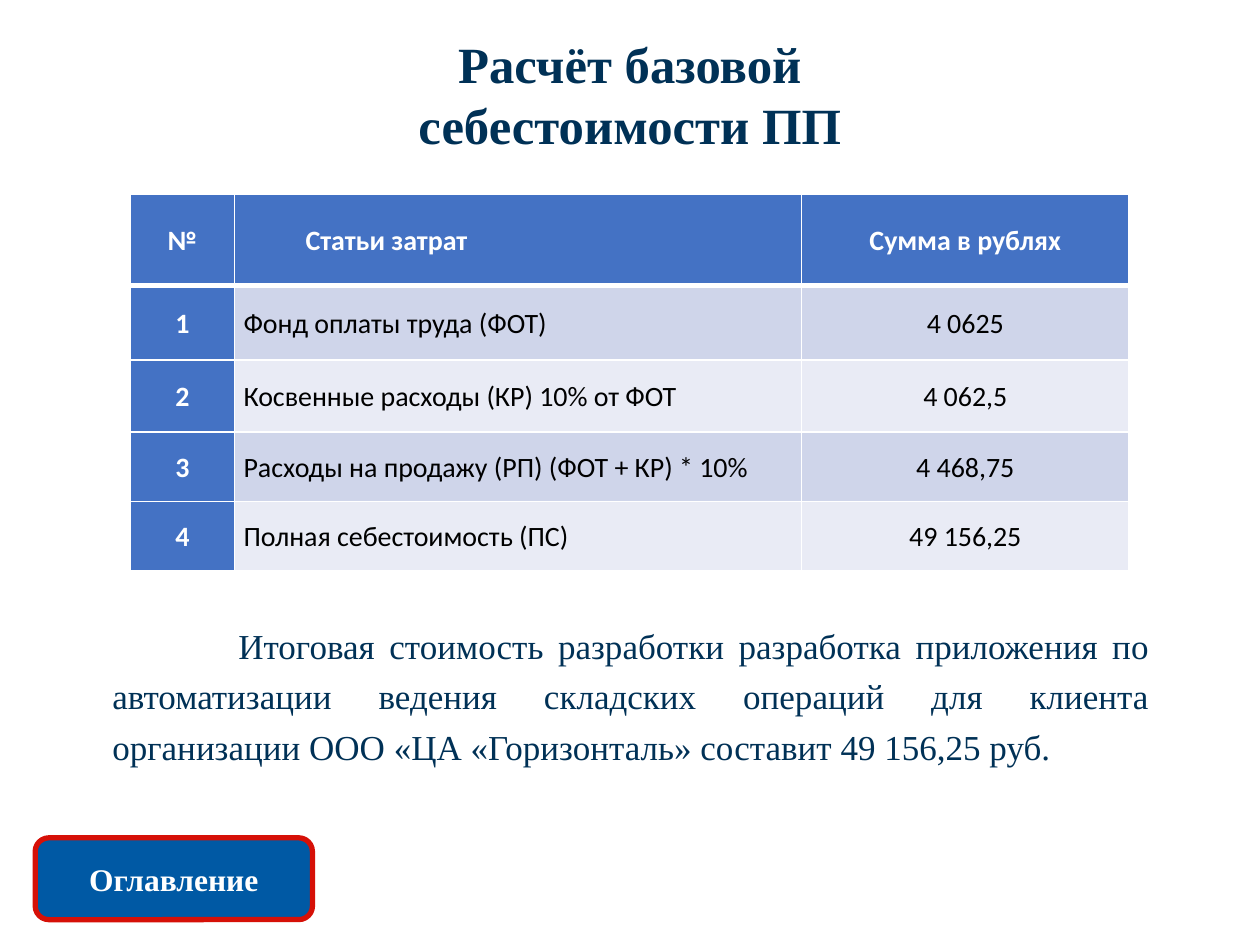
from lxml import etree
from pptx import Presentation
from pptx.dml.color import RGBColor
from pptx.enum import shapes, text
from pptx.oxml import ns
from pptx.util import Cm, Pt

COLORS = {
    "navy": "003156", "white": "FFFFFF", "black": "000000",
    "header": "4472C4", "odd": "CFD5EA", "even": "E9EBF5",
    "button": "0059A4", "outline": "D61007",
}
SERIF, SANS = "Times New Roman", "Calibri"
ALIGN, MIDDLE = text.PP_ALIGN, text.MSO_ANCHOR.MIDDLE


def color(name):
    return RGBColor.from_string(COLORS[name])


def apply(target, values):
    for name, value in values.items():
        setattr(target, name, value)


class SlideBuilder:
    """Holds the shared style and the current slide."""

    cell_paragraph = {"line_spacing": 1.07, "space_after": Pt(8)}
    cell_format = {
        "vertical_anchor": MIDDLE, "margin_left": Cm(0.18),
        "margin_right": Cm(0.18), "margin_top": 0, "margin_bottom": 0,
    }

    def __init__(self, slide):
        self.slide = slide

    def add_text(self, frame, wording, size, font, ink, bold=False, **layout):
        paragraph = frame.paragraphs[0]
        apply(paragraph, layout)
        run = paragraph.add_run()
        run.text = wording
        apply(run.font, {"size": Pt(size), "name": font, "bold": bold})
        run.font.color.rgb = color(ink)
        return paragraph

    def placeholder(self, shape, box, wording, size, **style):
        apply(shape, dict(zip(("left", "top", "width", "height"), map(Cm, box))))
        frame = shape.text_frame
        apply(frame, {"word_wrap": True, "vertical_anchor": text.MSO_ANCHOR.TOP,
                      "auto_size": text.MSO_AUTO_SIZE.SHAPE_TO_FIT_TEXT})
        return self.add_text(frame, wording, size, SERIF, "navy", **style)

    def title(self, box, wording):
        self.placeholder(self.slide.shapes.title, box, wording, 29,
                         bold=True, alignment=ALIGN.CENTER)

    def body(self, box, wording, indent):
        paragraph = self.placeholder(
            self.slide.placeholders[1], box, wording, 20,
            alignment=ALIGN.JUSTIFY, line_spacing=1.2, space_before=Pt(0))
        self.indent(paragraph, indent)
        etree.SubElement(paragraph._p.get_or_add_pPr(), ns.qn("a:buNone"))

    def indent(self, paragraph, first_line):
        properties = paragraph._p.get_or_add_pPr()
        properties.set("marL", "0")
        properties.set("indent", str(Cm(first_line)))

    def borders(self, cell, **widths):
        properties = cell._tc.get_or_add_tcPr()
        for side in "LRTB":
            line = etree.SubElement(properties, ns.qn("a:ln" + side),
                                    w=str(Pt(widths.get(side, 1))))
            fill = etree.SubElement(line, ns.qn("a:solidFill"))
            etree.SubElement(fill, ns.qn("a:srgbClr"), val=COLORS["white"])

    def table(self, left, top, widths, heights, rows):
        frame = self.slide.shapes.add_table(
            len(rows), len(widths), Cm(left), Cm(top),
            Cm(sum(widths)), Cm(sum(heights)))
        table = frame.table
        table.first_col = True
        for column, width in zip(table.columns, widths):
            column.width = Cm(width)
        for row, height in zip(table.rows, heights):
            row.height = Cm(height)
        for r, row in enumerate(rows):
            for c, wording in enumerate(row):
                self.cell(table.cell(r, c), r, c, wording)

    def cell(self, cell, r, c, wording):
        heading = r == 0 or c == 0
        apply(cell, self.cell_format)
        # A thick rule separates the header from the data
        self.borders(cell, **{0: {"B": 3}, 1: {"T": 3}}.get(r, {}))
        cell.fill.solid()
        cell.fill.fore_color.rgb = color(
            "header" if heading else "odd" if r % 2 else "even")
        paragraph = self.add_text(
            cell.text_frame, wording, 16, SANS,
            "white" if heading else "black", bold=heading,
            alignment=ALIGN.JUSTIFY if c == 1 else ALIGN.CENTER,
            **self.cell_paragraph)
        if (r, c) == (0, 1):
            self.indent(paragraph, 1.25)

    def button(self, box, wording):
        shape = self.slide.shapes.add_shape(
            shapes.MSO_SHAPE.ROUNDED_RECTANGLE, *map(Cm, box))
        shape.shadow.inherit = False
        shape.fill.solid()
        shape.fill.fore_color.rgb = color("button")
        shape.line.color.rgb = color("outline")
        shape.line.width = Pt(3)
        shape.text_frame.vertical_anchor = MIDDLE
        self.add_text(shape.text_frame, wording, 18, SERIF, "white",
                      bold=True, alignment=ALIGN.CENTER)


def main():
    presentation = Presentation()
    apply(presentation, {"slide_width": Cm(25.4), "slide_height": Cm(19.05)})
    builder = SlideBuilder(
        presentation.slides.add_slide(presentation.slide_layouts[1]))

    # Title and conclusion
    builder.title((5.64, 0.53, 14.12, 2.74), "Расчёт базовой себестоимости ПП")
    builder.body(
        (2.01, 12.29, 21.41, 3.25),
        "Итоговая стоимость разработки разработка приложения по автоматизации "
        "ведения складских операций для клиента организации "
        "ООО «ЦА «Горизонталь» составит 49 156,25 руб.", indent=2.54)

    # Cost table
    builder.table(2.62, 3.91, (2.11, 11.43, 6.6), (1.85, 1.5, 1.45, 1.4, 1.4), [
        ("№", "Статьи затрат", "Сумма в рублях"),
        ("1", "Фонд оплаты труда (ФОТ)", "4 0625"),
        ("2", "Косвенные расходы (КР) 10% от ФОТ", "4 062,5"),
        ("3", "Расходы на продажу (РП) (ФОТ + КР) * 10%", "4 468,75"),
        ("4", "Полная себестоимость (ПС)", "49 156,25"),
    ])

    # Contents button
    builder.button((0.71, 16.89, 5.59, 1.65), "Оглавление")
    presentation.save("out.pptx")


if __name__ == "__main__":
    main()
